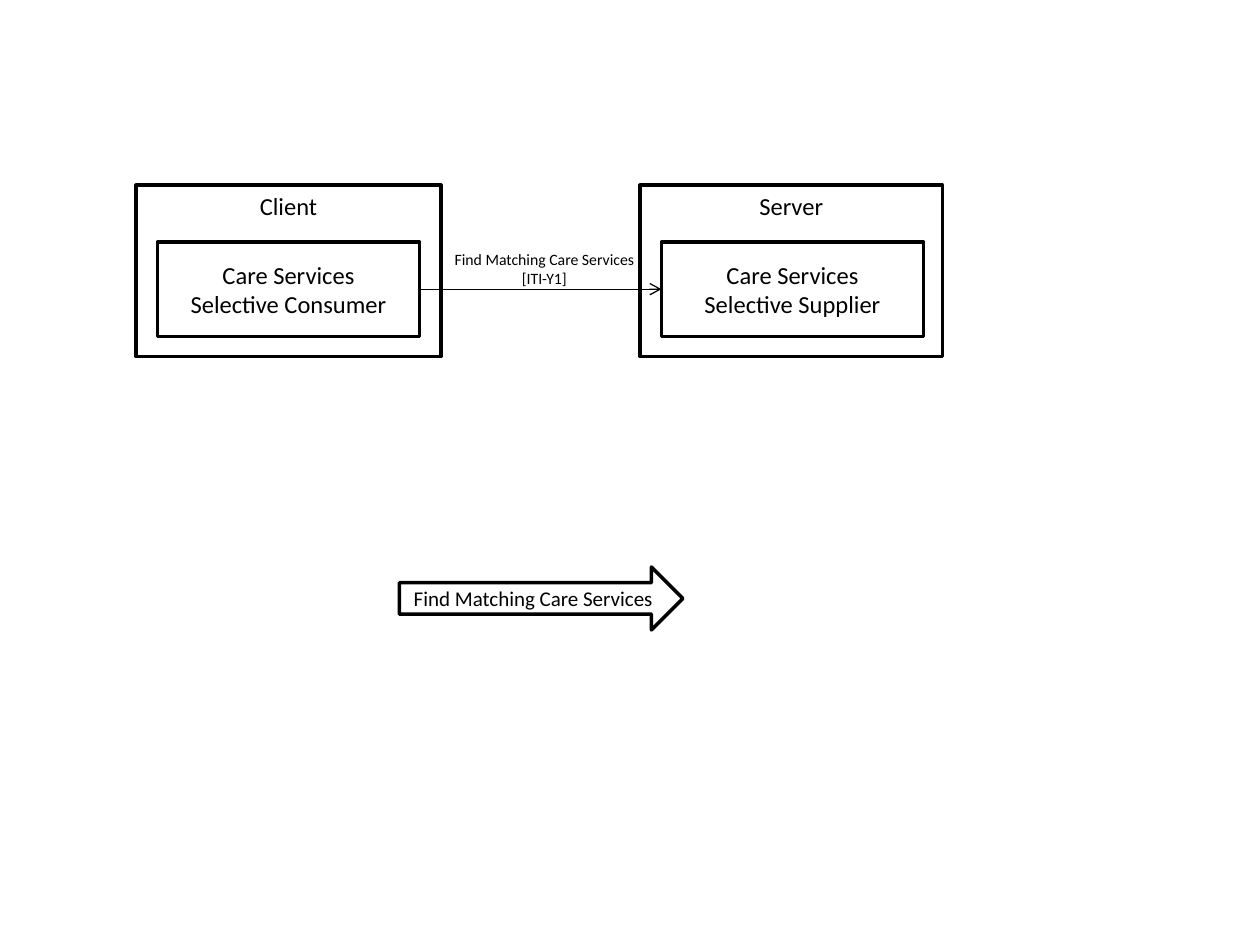
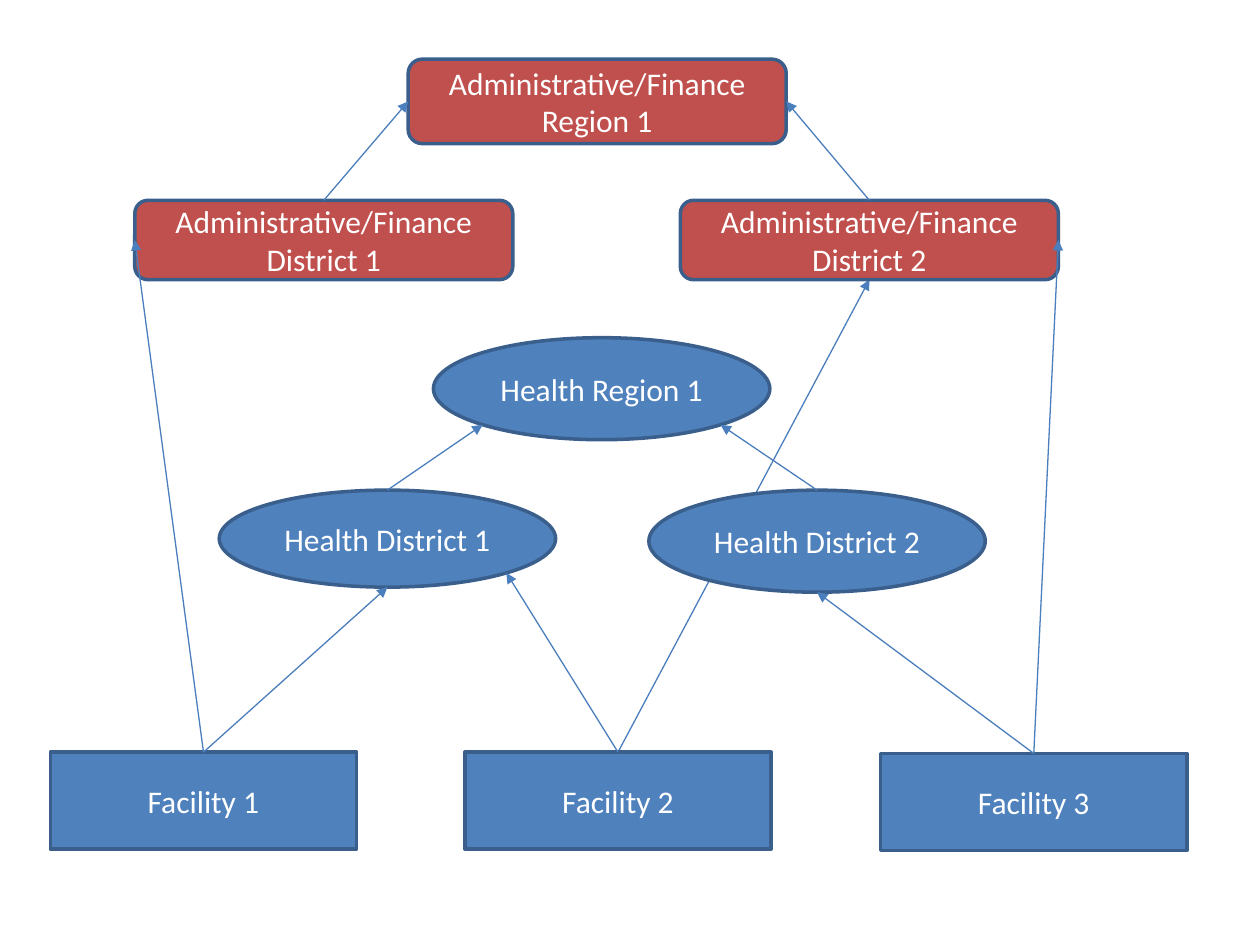
from pptx import Presentation
from pptx.dml.color import RGBColor
from pptx.enum.shapes import MSO_CONNECTOR, MSO_SHAPE
from pptx.enum.text import MSO_ANCHOR, MSO_AUTO_SIZE, PP_ALIGN
from pptx.oxml.ns import qn
from pptx.util import Inches, Pt
from lxml.etree import SubElement

FONT = "Calibri"
BLACK, WHITE = "000000", "FFFFFF"
BLUE, RED, EDGE, LINK = "4F81BD", "C0504D", "3A5F8C", "4B7EBC"

# Slide 1: each actor sits inside an outer system box
SYSTEMS = [  # name, actor lines, left, width
    ("Server", ["Care Services", "Selective Supplier"], 5.08, 2.4),
    ("Client", ["Care Services", "Selective Consumer"], 1.08, 2.42),
]
MESSAGE = "Find Matching Care Services"
MESSAGE_ID = "[ITI-Y1]"

# Slide 2: shape, fill, width, then label, left, top, height
LEVELS = [
    (MSO_SHAPE.RECTANGLE, BLUE, 2.43, [
        ("Facility 1", 0.4, 5.97, 0.77),
        ("Facility 2", 3.69, 5.97, 0.77),
        ("Facility 3", 6.99, 5.98, 0.77)]),
    (MSO_SHAPE.OVAL, BLUE, 2.67, [
        ("Health District 1", 1.74, 3.89, 0.77),
        ("Health District 2", 5.15, 3.89, 0.81),
        ("Health Region 1", 3.44, 2.68, 0.81)]),
    (MSO_SHAPE.ROUNDED_RECTANGLE, RED, 3, [
        ("Administrative/Finance District 1", 1.07, 1.59, 0.63),
        ("Administrative/Finance District 2", 5.4, 1.59, 0.63),
        ("Administrative/Finance Region 1", 3.24, 0.47, 0.67)]),
]
# Each link leaves the top of the child and ends at a spot on the parent
LINKS = [
    ("Facility 2", "Administrative/Finance District 2", "bottom"),
    ("Health District 2", "Health Region 1", "bottom right"),
    ("Health District 1", "Health Region 1", "bottom left"),
    ("Administrative/Finance District 2", "Administrative/Finance Region 1", "right"),
    ("Administrative/Finance District 1", "Administrative/Finance Region 1", "left"),
    ("Facility 1", "Health District 1", "bottom"),
    ("Facility 1", "Administrative/Finance District 1", "left"),
    ("Facility 2", "Health District 1", "bottom right"),
    ("Facility 3", "Health District 2", "bottom"),
    ("Facility 3", "Administrative/Finance District 2", "right"),
]
SITES = {"top": 0, "left": 1, "bottom": 2, "right": 3}
DIAGONAL = 0.5 ** 1.5  # offset of an ellipse's diagonal point from its centre
SPOTS = {  # share of width and height
    "top": (0.5, 0), "left": (0, 0.5), "bottom": (0.5, 1), "right": (1, 0.5),
    "bottom left": (0.5 - DIAGONAL, 0.5 + DIAGONAL),
    "bottom right": (0.5 + DIAGONAL, 0.5 + DIAGONAL),
}


def color(value):
    return RGBColor.from_string(value)


def write(tf, lines, size, text_color):
    for i, line in enumerate(lines):
        p = tf.paragraphs[0] if i == 0 else tf.add_paragraph()
        p.text = line
        p.alignment = PP_ALIGN.CENTER
        p.font.name, p.font.size = FONT, Pt(size)
        p.font.color.rgb = color(text_color)


def add_box(s, kind, at, lines, size, fill=WHITE, line=BLACK, text_color=BLACK,
            anchor=MSO_ANCHOR.MIDDLE):
    sp = s.shapes.add_shape(kind, *map(Inches, at))
    sp.shadow.inherit = False
    sp.fill.solid()
    sp.fill.fore_color.rgb = color(fill)
    sp.line.color.rgb = color(line)
    sp.line.width = Pt(2)
    sp.text_frame.word_wrap = True
    sp.text_frame.vertical_anchor = anchor
    write(sp.text_frame, lines, size, text_color)
    return sp


def spot(sp, name):
    fx, fy = SPOTS[name]
    return int(sp.left + fx * sp.width), int(sp.top + fy * sp.height)


def add_link(s, start, start_spot, end, end_spot, line, head):
    c = s.shapes.add_connector(MSO_CONNECTOR.STRAIGHT, *spot(start, start_spot),
                               *spot(end, end_spot))
    # Ellipses number their sites differently, so only box sides are joined
    for sp, name, join in ((start, start_spot, c.begin_connect),
                           (end, end_spot, c.end_connect)):
        if name in SITES and (name == "top" or sp.auto_shape_type != MSO_SHAPE.OVAL):
            join(sp, SITES[name])
    c.line.color.rgb = color(line)
    c.line.width = Pt(0.75)
    SubElement(c.line._get_or_add_ln(), qn("a:tailEnd"), type=head)
    SubElement(c._element.spPr, qn("a:effectLst"))
    return c


def build_transaction(s):
    # System boxes, then the actors inside them
    for name, _, left, width in SYSTEMS:
        add_box(s, MSO_SHAPE.RECTANGLE, (left, 1.47, width, 1.36), [name], 14,
                anchor=MSO_ANCHOR.TOP)
    actors = {}
    for name, lines, left, _ in SYSTEMS:
        actors[name] = add_box(s, MSO_SHAPE.ROUNDED_RECTANGLE,
                               (left + 0.17, 1.92, 2.08, 0.75), lines, 14)
        actors[name].adjustments[0] = 0

    # Block arrow
    add_box(s, MSO_SHAPE.RIGHT_ARROW, (3.17, 4.5, 2.25, 0.5), [MESSAGE], 12)

    # Message line and its label
    add_link(s, actors["Client"], "right", actors["Server"], "left", BLACK, "arrow")
    tb = s.shapes.add_textbox(*map(Inches, (3.5, 1.93, 1.64, 0.4)))
    tf = tb.text_frame
    tf.word_wrap = False
    tf.auto_size = MSO_AUTO_SIZE.SHAPE_TO_FIT_TEXT
    write(tf, [MESSAGE, MESSAGE_ID], 9, BLACK)


def build_hierarchy(s):
    nodes = {}
    for kind, fill, width, items in LEVELS:
        for label, left, top, height in items:
            nodes[label] = add_box(s, kind, (left, top, width, height), [label],
                                   18, fill, EDGE, WHITE)
    links = [add_link(s, nodes[child], "top", nodes[parent], end, LINK, "triangle")
             for child, parent, end in LINKS]
    # The first link runs behind the health district
    nodes["Facility 1"]._element.addprevious(links[0]._element)


def main():
    prs = Presentation()
    prs.slide_width, prs.slide_height = Inches(10), Inches(7.5)
    for build in (build_transaction, build_hierarchy):
        build(prs.slides.add_slide(prs.slide_layouts[6]))
    prs.save("out.pptx")


if __name__ == "__main__":
    main()
